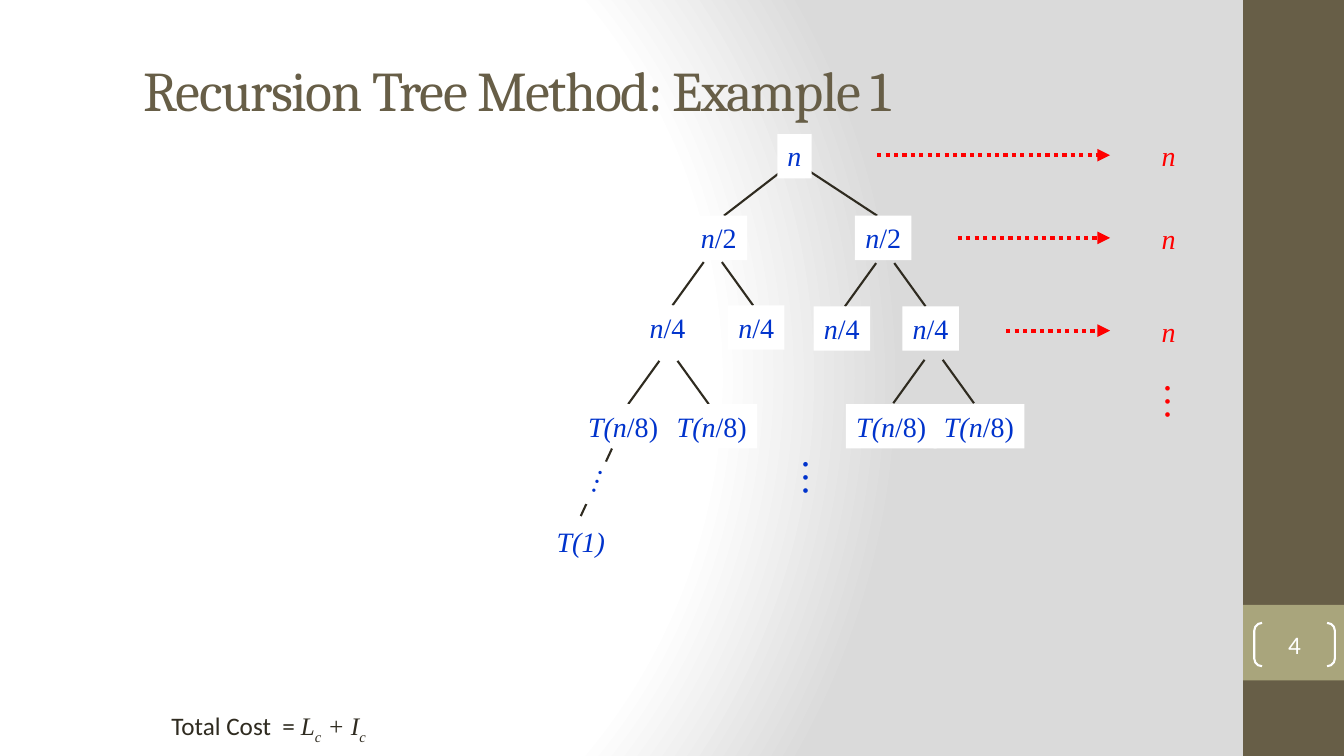
from lxml.etree import SubElement
from pptx import Presentation
from pptx.dml.color import RGBColor
from pptx.enum.dml import MSO_LINE
from pptx.enum.shapes import MSO_CONNECTOR, MSO_SHAPE
from pptx.enum.text import MSO_ANCHOR, MSO_AUTO_SIZE, PP_ALIGN
from pptx.oxml import parse_xml
from pptx.oxml.ns import nsdecls, qn
from pptx.util import Cm, Pt

TITLE = "Recursion Tree Method: Example 1"
SERIF = "Times New Roman"
BROWN, OLIVE, INK = "675E47", "A9A57C", "2F2B20"
WHITE, BLUE, RED = "FFFFFF", "0033CC", "FF0000"

SIDEBAR = [(0, 7.5, BROWN), (6, 0.75, OLIVE)]
NODE_HEIGHT = 0.44
TREE_LEVELS = [
    (("n",), 0.34, [(7.88, 1.33)]),
    (("n", "/2"), 0.56, [(7.13, 2.14), (8.76, 2.14)]),
    (("n", "/4"), 0.56, [(6.62, 3.03), (7.5, 3.03), (8.35, 3.04), (9.23, 3.04)]),
    (("T(n", "/8)"), 0.9, [(6.18, 4.01), (7.06, 4.01), (8.84, 4.01), (9.71, 4.01)]),
]
ROOT_BRANCHES = [(7.75, 1.7, 7.18, 2.14), (8.03, 1.7, 8.7, 2.14)]
FORKS = [(7.07, 2.6), (8.78, 2.61), (6.63, 3.58), (9.26, 3.57)]
FORK_INNER, FORK_OUTER, FORK_DROP = 0.09, 0.4, 0.43
LEVEL_COSTS = [(8.7, 1.54), (9.5, 2.36), (9.98, 3.28)]
ARROW_END, COST_LEFT = 11.01, 11.42
ELLIPSES = [(7.56, 4.46, BLUE), (11.15, 3.7, RED)]
TOTAL_COST = [
    ("Total Cost  = ", "Calibri", False, 0),
    ("L", SERIF, True, 0),
    ("c", SERIF, True, -25000),
    (" + I", SERIF, True, 0),
    ("c", SERIF, True, -25000),
]
BACKGROUND = f"""<p:bg {nsdecls("p", "a")}><p:bgPr><a:gradFill rotWithShape="1"><a:gsLst>
<a:gs pos="0"><a:srgbClr val="FFFFFF"/></a:gs>
<a:gs pos="75000"><a:srgbClr val="FFFFFF"/></a:gs>
<a:gs pos="100000"><a:srgbClr val="DADADA"/></a:gs></a:gsLst>
<a:path path="circle"><a:fillToRect l="20000" t="50000" r="100000" b="50000"/></a:path>
</a:gradFill><a:effectLst/></p:bgPr></p:bg>"""


def inches(value):
    return Cm(value * 2.54)


def color(code):
    return RGBColor.from_string(code)


def style(run, size, code, font=SERIF, italic=False):
    run.font.size = Pt(size)
    run.font.name = font
    run.font.italic = italic
    run.font.color.rgb = color(code)


def add_box(slide, box, fill=None, kind=MSO_SHAPE.RECTANGLE):
    shape = slide.shapes.add_shape(kind, *map(inches, box))
    shape.shadow.inherit = False
    shape.line.fill.background()
    if fill:
        shape.fill.solid()
        shape.fill.fore_color.rgb = color(fill)
    else:
        shape.fill.background()
    return shape


def add_text_box(slide, box):
    shape = slide.shapes.add_textbox(*map(inches, box))
    shape.text_frame.word_wrap = True
    return shape


def write_label(shape, pieces, size, code, italic=True):
    frame = shape.text_frame
    frame.word_wrap = False
    frame.auto_size = MSO_AUTO_SIZE.SHAPE_TO_FIT_TEXT
    frame.vertical_anchor = MSO_ANCHOR.TOP
    paragraph = frame.paragraphs[0]
    paragraph.alignment = PP_ALIGN.CENTER
    for index, piece in enumerate(pieces):
        run = paragraph.add_run()
        run.text = piece
        style(run, size, code, italic=italic and index == 0)


def add_line(slide, ends, code=INK, width=1.5):
    line = slide.shapes.add_connector(MSO_CONNECTOR.STRAIGHT, *map(inches, ends))
    line.line.color.rgb = color(code)
    line.line.width = Pt(width)
    SubElement(line.element.spPr, qn("a:effectLst"))
    return line


def add_frame(slide):
    slide.element.cSld.insert(0, parse_xml(BACKGROUND))
    for top, height, fill in SIDEBAR:
        add_box(slide, (12.33, top, 1, height), fill)

    title = add_text_box(slide, (1.33, 0.42, 9.9, 0.92))
    title.text_frame.text = TITLE
    title.text_frame.vertical_anchor = MSO_ANCHOR.MIDDLE
    run = title.text_frame.paragraphs[0].runs[0]
    style(run, 40, BROWN, "Cambria")
    run.font._element.set("spc", "-100")

    number = add_box(slide, (12.44, 6.18, 0.8, 0.43), kind=MSO_SHAPE.DOUBLE_BRACKET)
    number.adjustments[0] = 0.18
    number.line.color.rgb = color(WHITE)
    number.line.width = Pt(1.5)
    frame = number.text_frame
    frame.margin_left = frame.margin_right = frame.margin_top = frame.margin_bottom = 0
    frame.vertical_anchor = MSO_ANCHOR.MIDDLE
    frame.text = "4"
    frame.paragraphs[0].alignment = PP_ALIGN.CENTER
    style(frame.paragraphs[0].runs[0], 18, WHITE, "Calibri")


def add_tree(slide):
    for ends in ROOT_BRANCHES:
        add_line(slide, ends)
    for center, top in FORKS:
        for side in (-1, 1):
            add_line(slide, (center + side * FORK_INNER, top,
                             center + side * FORK_OUTER, top + FORK_DROP))
    for pieces, width, places in TREE_LEVELS:
        for center, top in places:
            node = add_box(slide, (center - width / 2, top, width, NODE_HEIGHT), WHITE)
            write_label(node, pieces, 20, BLUE)

    add_line(slide, (6.07, 4.45, 5.76, 5.12))
    leaf = add_box(slide, (5.42, 5.15, 0.68, NODE_HEIGHT), WHITE)
    write_label(leaf, ["T(1)"], 20, BLUE)
    descent = add_box(slide, (5.6, 4.54, 0.46, NODE_HEIGHT), WHITE)
    write_label(descent, ["…"], 20, BLUE, italic=False)
    descent.text_frame.word_wrap = True
    descent.rotation = 289.4


def add_costs(slide):
    for start, height in LEVEL_COSTS:
        arrow = add_line(slide, (start, height, ARROW_END, height), RED, 3)
        arrow.line.dash_style = MSO_LINE.ROUND_DOT
        SubElement(arrow.line._get_or_add_ln(), qn("a:tailEnd"), type="triangle")
        cost = add_text_box(slide, (COST_LEFT, height - 0.21, 0.34, NODE_HEIGHT))
        write_label(cost, ["n"], 20, RED)
    for left, top, code in ELLIPSES:
        dots = add_text_box(slide, (left, top, 0.59, 0.57))
        write_label(dots, ["…"], 28, code, italic=False)
        dots.rotation = 270

    total = add_text_box(slide, (1.48, 7, 2.4, 0.48))
    total.text_frame.margin_left = inches(0.22)
    paragraph = total.text_frame.paragraphs[0]
    for text, font, italic, baseline in TOTAL_COST:
        run = paragraph.add_run()
        run.text = text
        style(run, 18, INK, font, italic)
        if baseline:
            run.font._element.set("baseline", str(baseline))


def main():
    presentation = Presentation()
    presentation.slide_width = inches(13.33)
    presentation.slide_height = inches(7.5)
    slide = presentation.slides.add_slide(presentation.slide_layouts[6])
    add_frame(slide)
    add_tree(slide)
    add_costs(slide)
    presentation.save("out.pptx")


if __name__ == "__main__":
    main()
